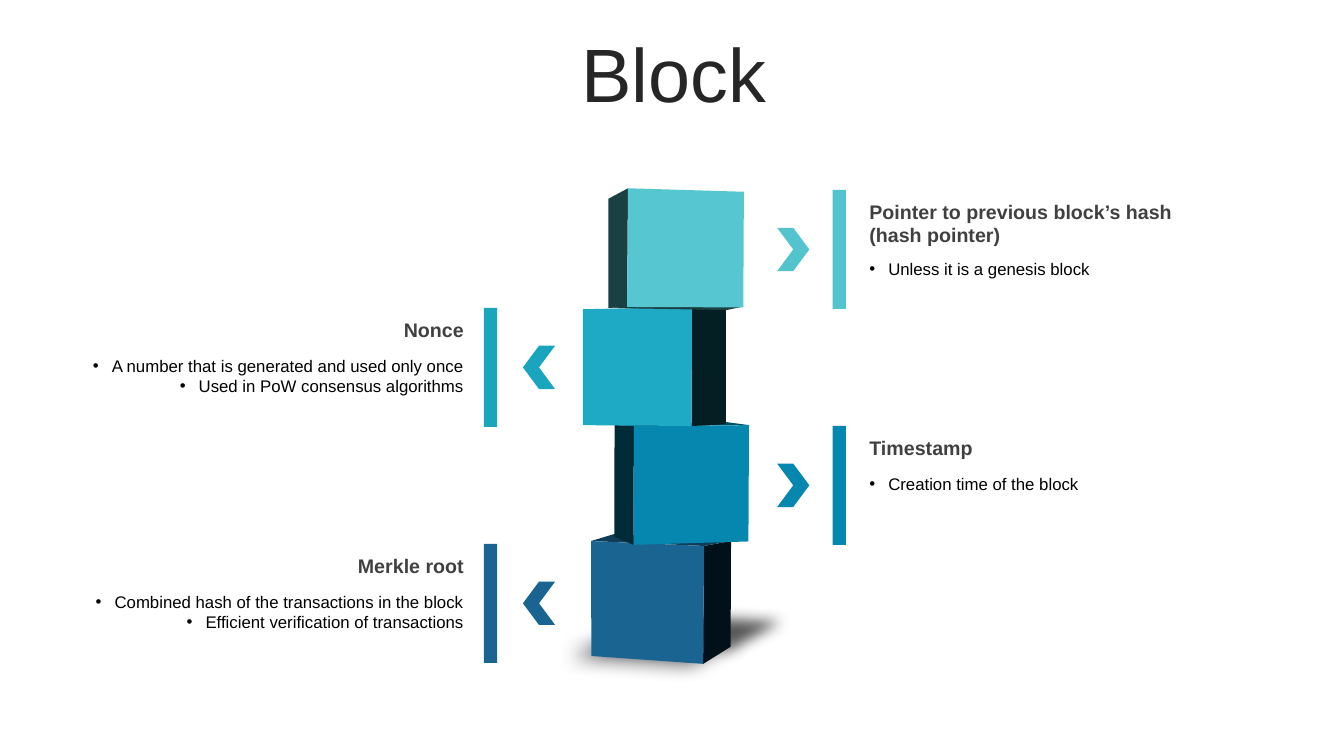
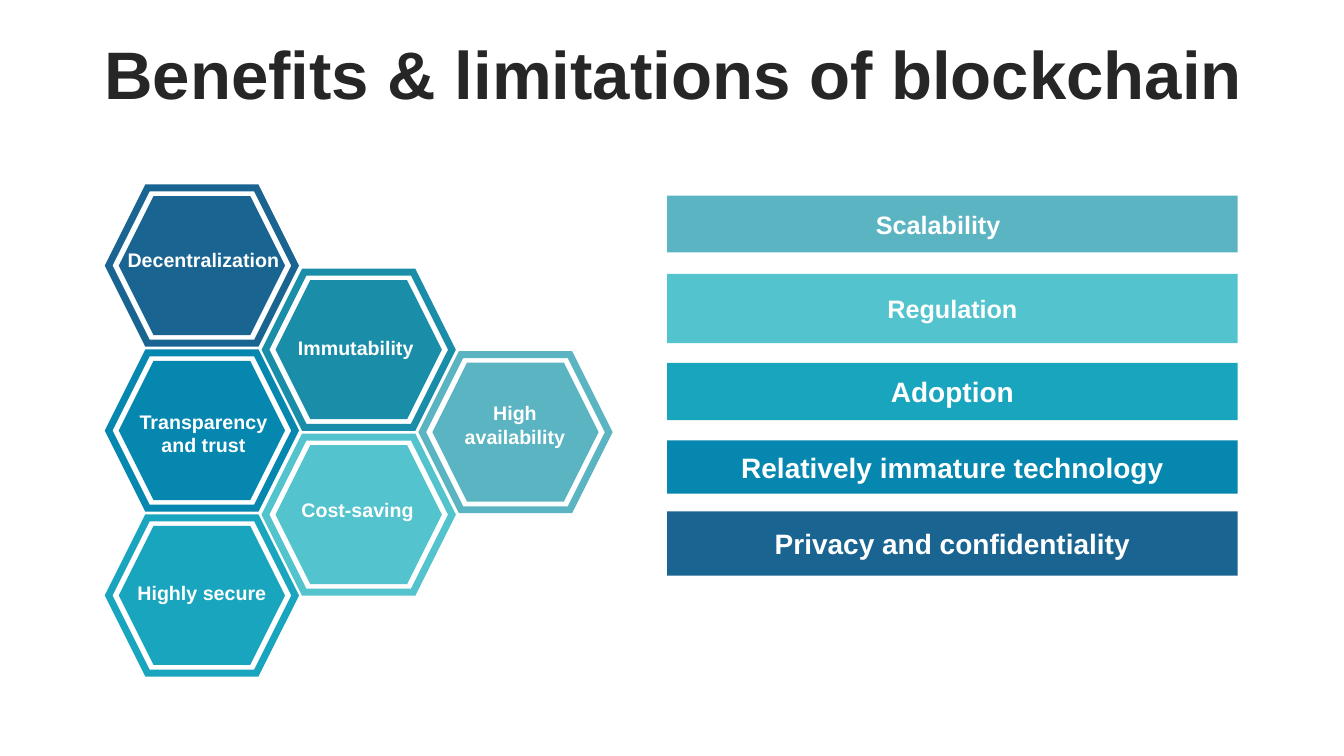
from lxml.etree import SubElement
from pptx import Presentation
from pptx.dml.color import RGBColor
from pptx.enum.shapes import MSO_SHAPE
from pptx.enum.text import MSO_ANCHOR, MSO_AUTO_SIZE, PP_ALIGN
from pptx.oxml.ns import qn
from pptx.util import Pt

NAVY = RGBColor(0x19, 0x64, 0x91)
BLUE = RGBColor(0x05, 0x87, 0xAF)
TEAL = RGBColor(0x19, 0xA5, 0xBE)
AQUA = RGBColor(0x53, 0xC3, 0xCD)
SEA = RGBColor(0x1A, 0x8E, 0xA9)
MIST = RGBColor(0x5A, 0xB4, 0xC1)
WHITE = RGBColor(0xFF, 0xFF, 0xFF)
BLACK = RGBColor(0x00, 0x00, 0x00)
TITLE_GREY = RGBColor(0x26, 0x26, 0x26)
HEADING_GREY = RGBColor(0x40, 0x40, 0x40)
SHADOW_GREY = RGBColor(0x59, 0x59, 0x59)
AQUA_FRONT = RGBColor(0x56, 0xC7, 0xD1)
AQUA_SIDE = RGBColor(0x1B, 0x40, 0x43)
TEAL_FRONT = RGBColor(0x1E, 0xAA, 0xC4)
TEAL_SIDE = RGBColor(0x04, 0x1F, 0x24)
BLUE_SIDE = RGBColor(0x01, 0x2B, 0x38)
BLUE_TOP = RGBColor(0x03, 0x50, 0x6A)
NAVY_SIDE = RGBColor(0x02, 0x10, 0x1A)
NAVY_TOP = RGBColor(0x0F, 0x3C, 0x57)

ROW_TOP, ROW_STEP = 135.7, 84.24
HEXAGON_LEFT, HEXAGON_TOP = 77.6, 134.3
COLUMN_STEP, HEXAGON_STEP = 112, 117.8

# Rows from top to bottom: colour, side, heading lines, bullets, bullet gap
ENTRIES = [
    (AQUA, "right", ["Pointer to previous block’s hash", "(hash pointer)"],
     ["Unless it is a genesis block"], 8.7),
    (TEAL, "left", ["Nonce"],
     ["A number that is generated and used only once",
      "Used in PoW consensus algorithms"], 10.3),
    (BLUE, "right", ["Timestamp"], ["Creation time of the block"], 10.3),
    (NAVY, "left", ["Merkle root"],
     ["Combined hash of the transactions in the block",
      "Efficient verification of transactions"], 10.3),
]

# Cube faces from back to front, lowest cube first
CUBE_FACES = [
    (NAVY_SIDE,
     [(502.9, 390), (522.2, 386.5), (521.9, 462), (502.3, 474.2)]),
    (NAVY_TOP,
     [(422.2, 386.5), (438.8, 381.5), (522.2, 386.5), (502.9, 390)]),
    (NAVY, [(422.2, 386.5), (502.9, 390), (502.3, 474.2), (422.4, 468.6)]),
    (BLUE_SIDE,
     [(439, 303.6), (452.8, 304.5), (452.6, 389.2), (438.8, 383.5)]),
    (BLUE_TOP, [(439, 303.6), (518.6, 301.5), (535, 303.7), (452.8, 304.5)]),
    (BLUE, [(452.8, 304.5), (535, 303.7), (534.6, 386.8), (452.6, 389.2)]),
    (TEAL_SIDE,
     [(494.3, 219.3), (518.6, 221.5), (518.6, 303), (494, 304.3)]),
    (TEAL_FRONT,
     [(416.4, 220.9), (494.3, 219.3), (494, 304.3), (416.4, 303.7)]),
    (AQUA_SIDE, [(434.6, 142), (448.6, 134.5), (448, 219.3), (434.6, 220)]),
    (AQUA_SIDE, [(434.6, 220), (448, 219), (531, 219), (519, 221.5)]),
    (AQUA_FRONT, [(448.6, 134.5), (531.4, 137), (531, 219.6), (448, 219.3)]),
]

# Floor shadows: soft edge radius, corners
SHADOWS = [
    (14, [(432, 437), (583, 446.4), (504, 489.6), (344, 479.5)]),
    (10, [(467, 428.4), (599, 436.3), (530, 473.8), (390, 465.8)]),
]

# Benefits: text, colour, column, row, upward shift, right inset
BENEFITS = [
    ("Decentralization", NAVY, 0, 0, 3.9, 4.8),
    ("Transparency\vand trust", BLUE, 0, 1, -2, 4.8),
    ("Highly secure", TEAL, 0, 2, 1.7, 7.2),
    ("Immutability", SEA, 1, 0.51, 1.5, 11.2),
    ("Cost-saving", AQUA, 1, 1.51, 3.6, 8.6),
    ("High\vavailability", MIST, 2, 1.01, 5.4, 7.8),
]

# Limitations: text, colour, top, height, text size, right inset
LIMITATIONS = [
    ("Scalability", MIST, 139.8, 40.5, 18, 27.5),
    ("Regulation", AQUA, 195.6, 49.5, 18, 7.2),
    ("Adoption", TEAL, 259.2, 41, 20, 7.2),
    ("Relatively immature technology", BLUE, 314.6, 38, 20, 7.2),
    ("Privacy and confidentiality", NAVY, 365.2, 46, 20, 7.2),
]


def write(frame, text, size=14, colour=WHITE, bold=True,
          align=PP_ALIGN.CENTER, before=0, spacing=None, bullet=False):
    """Add a paragraph to the frame, filling its first one if still empty."""
    para = frame.paragraphs[0] if not frame.text else frame.add_paragraph()
    para.text = text
    para.alignment = align
    para.space_before = Pt(before)
    if spacing:
        para.line_spacing = spacing
    if bullet:
        properties = para._p.get_or_add_pPr()
        properties.set("marL", str(Pt(13.5)))
        properties.set("indent", str(-Pt(13.5)))
        SubElement(properties, qn("a:buFont"), typeface="Arial")
        SubElement(properties, qn("a:buChar"), char="•")
    para.font.name = "Arial"
    para.font.size = Pt(size)
    para.font.bold = bold
    para.font.color.rgb = colour


class Deck:
    def __init__(self):
        self.file = Presentation()
        self.file.slide_width = Pt(960)
        self.file.slide_height = Pt(540)
        self.page = None

    def add_page(self, title, size, bold):
        self.page = self.file.slides.add_slide(self.file.slide_layouts[5])
        box = self.page.shapes.title
        box.left, box.top, box.width, box.height = map(
            Pt, (25.5, 27, 911.5, 56.9))
        frame = box.text_frame
        frame.auto_size = MSO_AUTO_SIZE.NONE
        frame.vertical_anchor = MSO_ANCHOR.MIDDLE
        write(frame, title, size=size, bold=bold, colour=TITLE_GREY,
              spacing=0.9)

    def paint(self, shape, colour):
        shape.shadow.inherit = False
        shape.fill.solid()
        shape.fill.fore_color.rgb = colour
        shape.line.fill.background()
        return shape

    def shape(self, kind, left, top, width, height, colour):
        return self.paint(self.page.shapes.add_shape(
            kind, Pt(left), Pt(top), Pt(width), Pt(height)), colour)

    def outline(self, kind, left, top, width, height, colour):
        """Add an unfilled shape with a thick line and sharp corners."""
        shape = self.shape(kind, left, top, width, height, colour)
        shape.fill.background()
        shape.line.color.rgb = colour
        shape.line.width = Pt(5)
        SubElement(shape.line._get_or_add_ln(), qn("a:miter"), lim="800000")

    def polygon(self, corners, colour):
        points = [(Pt(x), Pt(y)) for x, y in corners]
        builder = self.page.shapes.build_freeform(*points[0], scale=1.0)
        builder.add_line_segments(points[1:], close=True)
        return self.paint(builder.convert_to_shape(), colour)

    def soft_polygon(self, corners, colour, radius):
        shape = self.polygon(corners, colour)
        effects = shape._element.spPr.find(qn("a:effectLst"))
        SubElement(effects, qn("a:softEdge"), rad=str(Pt(radius)))

    def label(self, shape, text, lift=0, right=7.2, **style):
        """Write centred text in a shape, raised by lift points."""
        frame = shape.text_frame
        frame.word_wrap = False
        frame.vertical_anchor = MSO_ANCHOR.MIDDLE
        frame.margin_right = Pt(right)
        frame.margin_top = Pt(max(0, -2 * lift))
        frame.margin_bottom = Pt(max(0, 2 * lift))
        write(frame, text, **style)

    def text_box(self, left, top, width, height):
        box = self.page.shapes.add_textbox(
            Pt(left), Pt(top), Pt(width), Pt(height))
        box.text_frame.word_wrap = True
        return box.text_frame

    def entry(self, top, colour, side, heading, bullets, gap):
        """Add a bar, a chevron, and a heading with bullets beside a cube."""
        if side == "right":
            bar, arrow, left, align = 594.8, 555.1, 613.9, PP_ALIGN.LEFT
        else:
            bar, arrow, left, align = 345.6, 373.5, 54, PP_ALIGN.RIGHT
        self.shape(MSO_SHAPE.RECTANGLE, bar, top, 9.5, 85, colour)
        chevron = self.shape(MSO_SHAPE.CHEVRON, arrow, top + 27, 23, 31,
                             colour)
        chevron.rotation = 0 if side == "right" else 180
        frame = self.text_box(left, top + 3.4, 284.4, 64)
        for line in heading:
            write(frame, line, colour=HEADING_GREY, align=align)
        for index, line in enumerate(bullets):
            write(frame, line, size=12, colour=BLACK, bold=False, align=align,
                  before=0 if index else gap, bullet=True)

    def hexagon(self, text, colour, column, row, lift, right):
        left = HEXAGON_LEFT + column * COLUMN_STEP
        top = HEXAGON_TOP + row * HEXAGON_STEP
        self.outline(MSO_SHAPE.HEXAGON, left, top, 133.2, 110.9, colour)
        core = self.shape(MSO_SHAPE.HEXAGON, left + 7.2, top + 5.7,
                          118.8, 99.4, colour)
        self.label(core, text, lift=lift, right=right)

    def band(self, text, colour, top, height, size, right):
        shape = self.shape(MSO_SHAPE.RECTANGLE, 476.6, top, 407.5, height,
                           colour)
        self.label(shape, text, size=size, right=right)


def main():
    deck = Deck()

    deck.add_page("Block", size=54, bold=False)
    for radius, corners in SHADOWS:
        deck.soft_polygon(corners, SHADOW_GREY, radius)
    for colour, corners in CUBE_FACES:
        deck.polygon(corners, colour)
    for index, entry in enumerate(ENTRIES):
        deck.entry(ROW_TOP + index * ROW_STEP, *entry)

    deck.add_page("Benefits & limitations of blockchain", size=48, bold=True)
    for benefit in BENEFITS:
        deck.hexagon(*benefit)
    for limitation in LIMITATIONS:
        deck.band(*limitation)

    deck.file.save("out.pptx")


if __name__ == "__main__":
    main()
